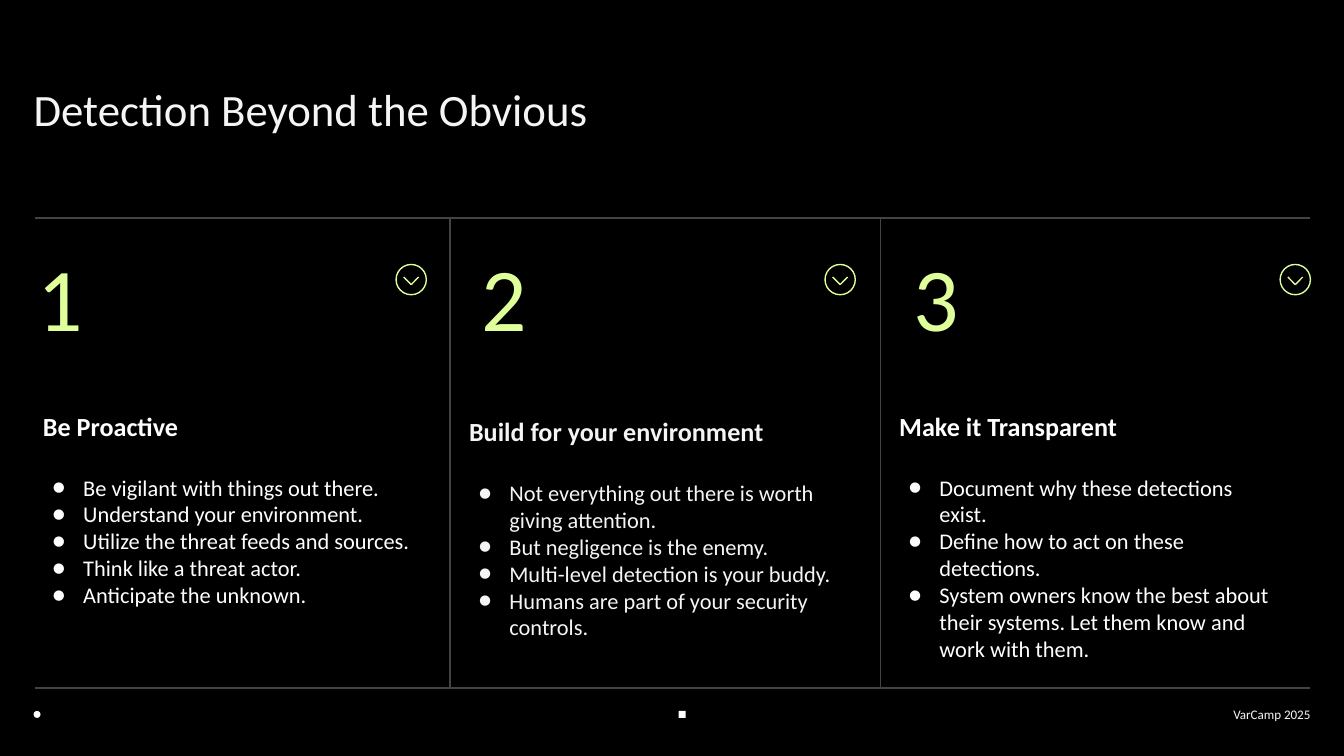
"""Build the slide "Detection Beyond the Obvious" with three numbered columns."""
import pptx
import pptx.util
import pptx.dml.color
import pptx.enum.shapes
import pptx.enum.text
import pptx.oxml
import pptx.oxml.ns
from lxml import etree

Pt = pptx.util.Pt
SHAPE = pptx.enum.shapes.MSO_SHAPE
ALIGN = pptx.enum.text.PP_ALIGN
ANCHOR = pptx.enum.text.MSO_ANCHOR
qn = pptx.oxml.ns.qn
HUES = {"back": "000000", "rule": "434343", "lime": "DEFF9A", "white": "FFFFFF", "pale": "F5F5F5"}
RGB = {name: pptx.dml.color.RGBColor.from_string(code) for name, code in HUES.items()}

deck = pptx.Presentation()
deck.slide_width, deck.slide_height = Pt(720), Pt(405)
slide = deck.slides.add_slide(deck.slide_layouts[5])
slide.background.fill.solid()
slide.background.fill.fore_color.rgb = RGB["back"]


def line(x1, y1, x2, y2, hue):
    rule = slide.shapes.add_connector(
        pptx.enum.shapes.MSO_CONNECTOR.STRAIGHT, Pt(x1), Pt(y1), Pt(x2), Pt(y2))
    rule.line.color.rgb = RGB[hue]
    rule.line.width = Pt(0.75)
    etree.SubElement(rule.element.spPr, qn("a:effectLst"))


def write(box, lines, size, hue, inset=7.2):
    frame = box.text_frame
    frame.word_wrap = True
    frame.auto_size = pptx.enum.text.MSO_AUTO_SIZE.NONE
    frame.vertical_anchor = ANCHOR.TOP
    frame.margin_left = frame.margin_top = 0
    frame.margin_right = frame.margin_bottom = Pt(inset)
    frame.text = "\n".join(lines)
    for para in frame.paragraphs:
        para.alignment = ALIGN.LEFT
        for run in para.runs:
            run.font.name = "Calibri"
            run.font.size = Pt(size)
            run.font.color.rgb = RGB[hue]
    return frame


for kind, x in ((SHAPE.OVAL, 18), (SHAPE.RECTANGLE, 363.6)):
    mark = slide.shapes.add_shape(kind, Pt(x), Pt(380.9), Pt(3.7), Pt(3.7))
    mark.shadow.inherit = False
    mark.fill.solid()
    mark.fill.fore_color.rgb = RGB["white"]
    mark.line.fill.background()

for y in (116.8, 368.6):
    line(18.7, y, 702, y, "rule")
for x in (241.1, 471.6):
    line(x, 116.8, x, 368.6, "rule")

title = slide.shapes.title
title.left, title.top, title.width, title.height = Pt(18), Pt(48.2), Pt(568.8), Pt(31.7)
write(title, ["Detection Beyond the Obvious"], 24, "pale").paragraphs[0].line_spacing = 0.85

cols = (
    (20.2, 23, 219.6, 212.2, "white", "Be Proactive", (
        "Be vigilant with things out there.",
        "Understand your environment.",
        "Utilize the threat feeds and sources.",
        "Think like a threat actor.",
        "Anticipate the unknown.")),
    (257.8, 251.3, 222.5, 442, "pale", "Build for your environment", (
        "Not everything out there is worth giving attention.",
        "But negligence is the enemy.",
        "Multi-level detection is your buddy.",
        "Humans are part of your security controls.")),
    (489.6, 481.7, 219.6, 685.8, "white", "Make it Transparent", (
        "Document why these detections exist.",
        "Define how to act on these detections.",
        "System owners know the best about their systems. Let them know and work with them.")),
)

for num, (left, x, top, icon, hue, head, points) in enumerate(cols, 1):
    ring = slide.shapes.add_shape(SHAPE.OVAL, Pt(icon), Pt(141.7), Pt(16.2), Pt(16.2))
    ring.shadow.inherit = False
    ring.fill.background()
    ring.line.color.rgb = RGB["lime"]
    ring.line.width = Pt(0.75)
    for side in (-4, 4):
        line(icon + 8.1 + side, 148.4, icon + 8.1, 152.5, "lime")

    box = slide.shapes.add_textbox(Pt(left), Pt(129.6), Pt(88.6), Pt(93.6))
    write(box, [str(num)], 48, "lime")

    box = slide.shapes.add_textbox(Pt(x), Pt(top), Pt(209.5), Pt(360 - top))
    paras = write(box, [head, *points], 12, hue).paragraphs
    paras[0].space_after = Pt(17.4)
    paras[0].runs[0].font.size = Pt(14)
    paras[0].runs[0].font.bold = True
    for para in paras[1:]:
        props = para._p.get_or_add_pPr()
        props.set("marL", str(Pt(21.6)))
        props.set("indent", str(Pt(-16.6)))
        tint = etree.SubElement(props, qn("a:buClr"))
        etree.SubElement(tint, qn("a:srgbClr"), val=HUES[hue])
        etree.SubElement(props, qn("a:buFont"), typeface="Calibri")
        etree.SubElement(props, qn("a:buChar"), char="●")

box = slide.shapes.add_textbox(Pt(540), Pt(368.6), Pt(162), Pt(18))
foot = write(box, ["VarCamp 2025"], 7, "pale", 0)
foot.vertical_anchor = ANCHOR.BOTTOM
foot.paragraphs[0].alignment = ALIGN.RIGHT

deck.save("out.pptx")
